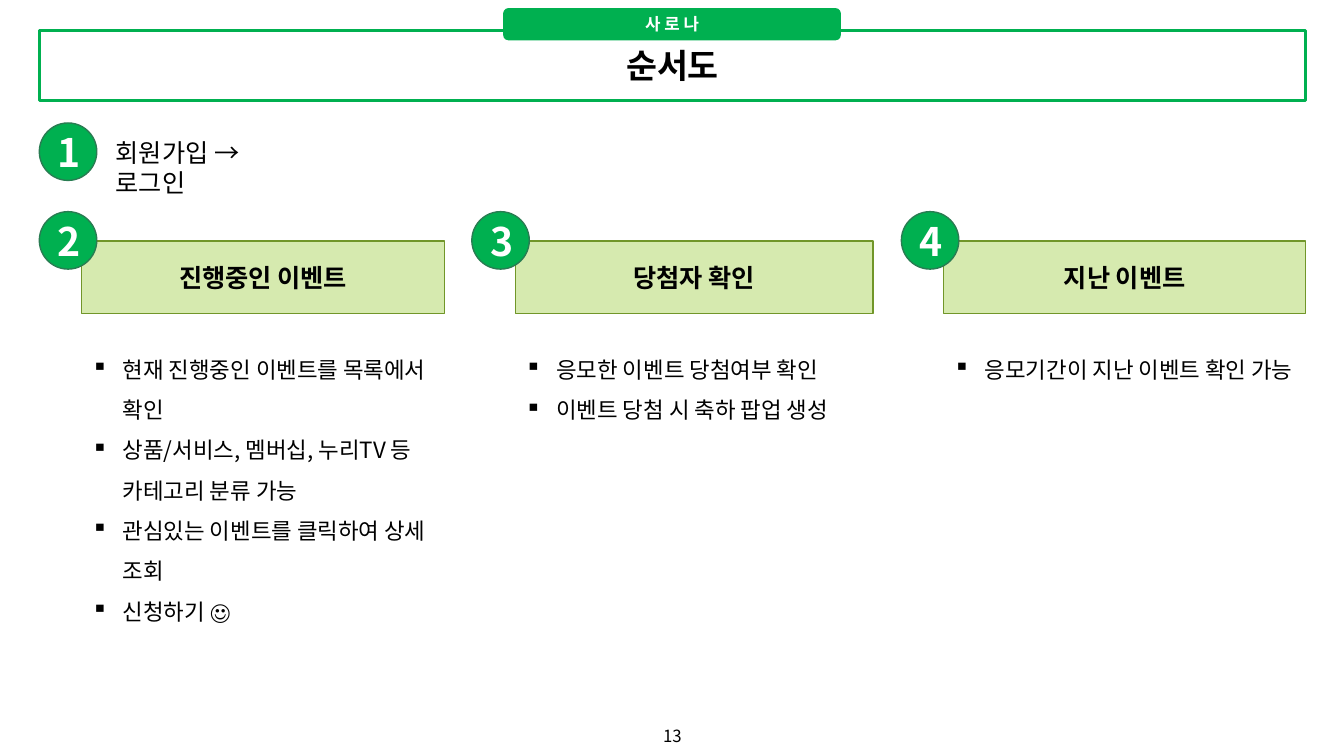
import pptx
import pptx.util
import pptx.dml.color
import pptx.enum.shapes
import pptx.enum.text
import pptx.oxml.ns
from lxml import etree

Inches = pptx.util.Inches
Pt = pptx.util.Pt
RGBColor = pptx.dml.color.RGBColor
Kind = pptx.enum.shapes.MSO_SHAPE
Align = pptx.enum.text.PP_ALIGN
Anchor = pptx.enum.text.MSO_ANCHOR

FONT = "Noto Sans CJK KR"
BLACK = RGBColor(0x00, 0x00, 0x00)
WHITE = RGBColor(0xFF, 0xFF, 0xFF)
GREEN = RGBColor(0x00, 0xB0, 0x50)
DARK = RGBColor(0x29, 0x7C, 0x52)
LIME = RGBColor(0xD6, 0xEA, 0xAF)
OLIVE = RGBColor(0x71, 0x96, 0x29)

STEPS = [
    (0.39, 0.81, 3.6, "진행중인 이벤트", [
        "현재 진행중인 이벤트를 목록에서 확인",
        "상품/서비스, 멤버십, 누리TV 등 카테고리 분류 가능",
        "관심있는 이벤트를 클릭하여 상세 조회",
        "신청하기 ☺",
    ], 2.93),
    (4.68, 5.11, 3.55, "당첨자 확인", [
        "응모한 이벤트 당첨여부 확인",
        "이벤트 당첨 시 축하 팝업 생성",
    ], 0.88),
    (8.94, 9.36, 3.59, "지난 이벤트", ["응모기간이 지난 이벤트 확인 가능"], 0.88),
]


def add_bullet(para):
    props = para._p.get_or_add_pPr()
    props.set("marL", str(Inches(0.31)))
    props.set("indent", str(-Inches(0.31)))
    mark = etree.SubElement(props, pptx.oxml.ns.qn("a:buChar"))
    mark.set("char", "▪")
    para.line_spacing = 1.5


def write(frame, lines, size=18, color=BLACK, bold=False, align=Align.LEFT,
          anchor=Anchor.TOP, wrap=True, bullet=False):
    frame.word_wrap = wrap
    frame.vertical_anchor = anchor
    for i, line in enumerate(lines):
        para = frame.paragraphs[0] if i == 0 else frame.add_paragraph()
        if bullet:
            add_bullet(para)
        para.alignment = align
        run = para.add_run()
        run.text = line
        run.font.name = FONT
        run.font.size = Pt(size)
        run.font.bold = bold
        run.font.color.rgb = color
        east = etree.SubElement(run._r.get_or_add_rPr(), pptx.oxml.ns.qn("a:ea"))
        east.set("typeface", FONT)


def add_box(shapes, kind, area, fill, text, line=None, width=1, **style):
    box = shapes.add_shape(kind, *map(Inches, area))
    box.shadow.inherit = False
    box.fill.solid()
    box.fill.fore_color.rgb = fill
    if line is None:
        box.line.fill.background()
    else:
        box.line.color.rgb = line
        box.line.width = Pt(width)
    write(box.text_frame, [text], bold=True, align=Align.CENTER,
          anchor=Anchor.MIDDLE, **style)


def add_text(shapes, area, lines, **style):
    box = shapes.add_textbox(*map(Inches, area))
    write(box.text_frame, lines, **style)


def add_badge(shapes, left, top, number):
    add_box(shapes, Kind.OVAL, (left, top, 0.57, 0.57), GREEN, str(number),
            line=DARK, size=28, color=WHITE)


def add_header(shapes):
    group = shapes.add_group_shape().shapes
    add_box(group, Kind.RECTANGLE, (0.39, 0.3, 12.56, 0.7), WHITE, "순서도",
            line=GREEN, width=2.25, size=24)
    add_box(group, Kind.ROUNDED_RECTANGLE, (4.99, 0.08, 3.35, 0.32), GREEN,
            "사 로 나", size=12, color=WHITE, wrap=False)


def add_step(shapes, number, badge, left, width, title, lines, height):
    group = shapes.add_group_shape().shapes
    add_box(group, Kind.RECTANGLE, (left, 2.39, width, 0.72), LIME, title,
            line=OLIVE)
    add_badge(group, badge, 2.1, number)
    add_text(shapes, (left, 3.35, 3.6, height), lines, size=16, bullet=True)


def main():
    deck = pptx.Presentation()
    deck.slide_width = Inches(13.33)
    deck.slide_height = Inches(7.5)
    shapes = deck.slides.add_slide(deck.slide_layouts[6]).shapes
    add_text(shapes, (5.17, 7.1, 3, 0.4), ["13"], size=12,
             align=Align.CENTER, anchor=Anchor.MIDDLE)
    add_header(shapes)
    add_badge(shapes, 0.39, 1.22, 1)
    add_text(shapes, (1.05, 1.31, 2.12, 0.4), ["회원가입 → 로그인"])
    for number, step in enumerate(STEPS, 2):
        add_step(shapes, number, *step)
    deck.save("out.pptx")


if __name__ == "__main__":
    main()
